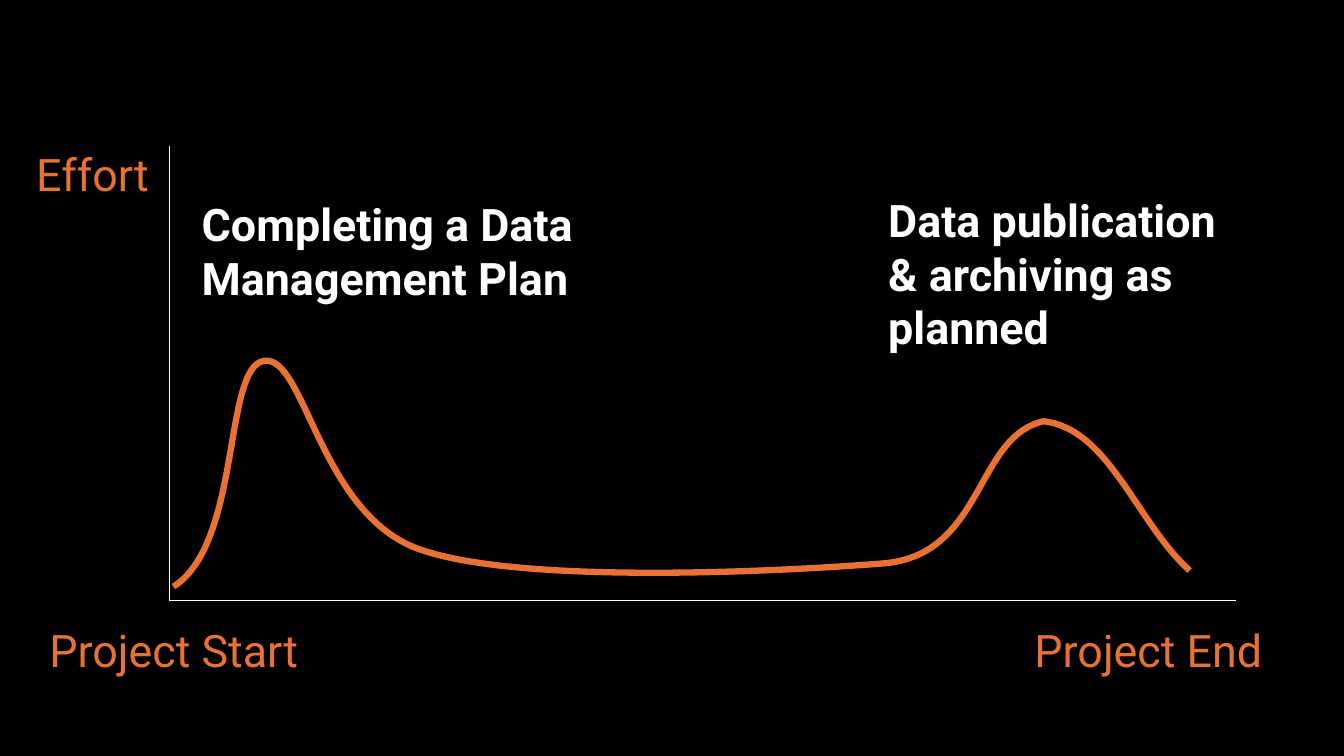
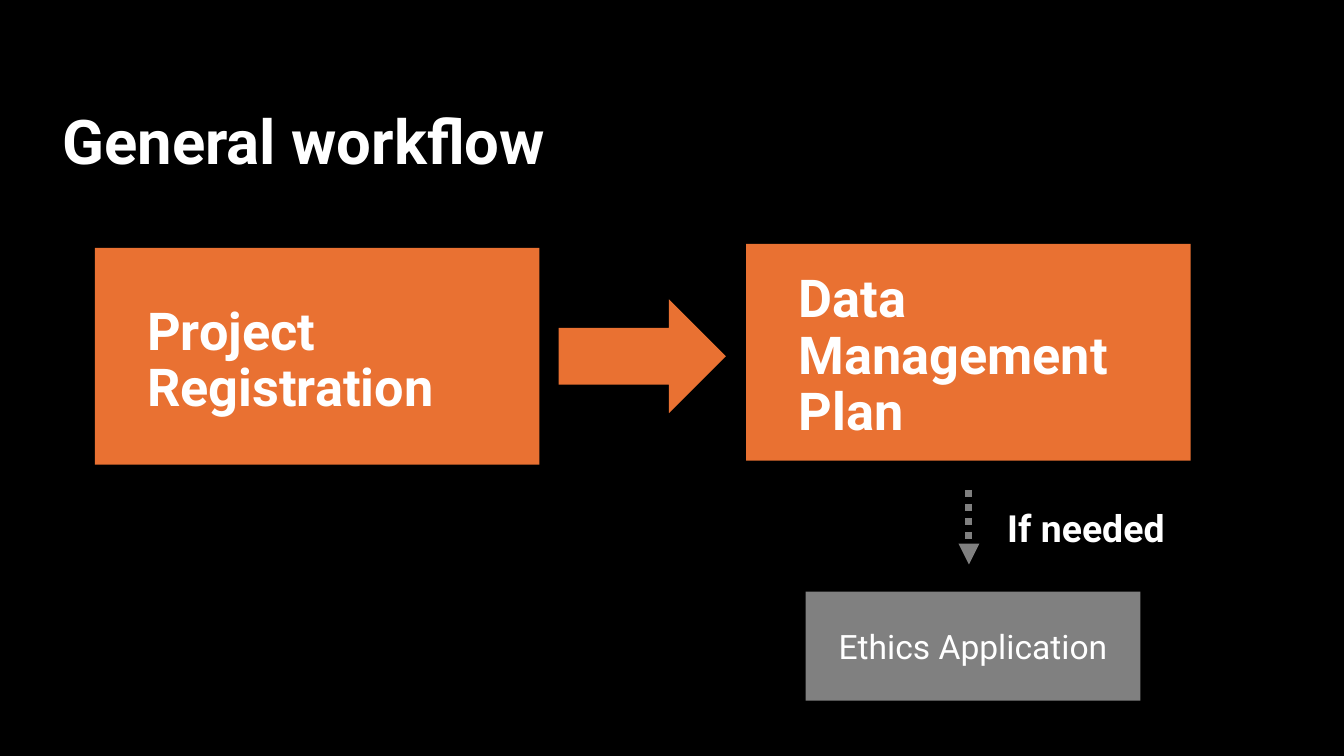
"""Builds two dark slides on data management: an effort curve and a workflow."""
import dataclasses

import lxml.etree
import pptx
import pptx.dml.color
import pptx.enum.dml
import pptx.enum.shapes
import pptx.enum.text
import pptx.oxml.ns
import pptx.util

EMU_PER_PX = 9144
SHAPES = pptx.enum.shapes.MSO_SHAPE
ANCHORS = pptx.enum.text.MSO_ANCHOR
ALIGNS = pptx.enum.text.PP_ALIGN


@dataclasses.dataclass(frozen=True)
class Theme:
    """Colours, type sizes and line widths of the deck."""
    font: str = "Roboto"
    back: str = "000000"
    text: str = "FFFFFF"
    accent: str = "E97132"
    muted: str = "808080"
    title_size: float = 44
    step_size: float = 37.3
    label_size: float = 32
    remark_size: float = 26.7
    small_size: float = 24
    axis_width: float = 1
    curve_width: float = 4.5
    arrow_width: float = 5


def px(*lengths):
    """Turns px lengths into EMU."""
    return [pptx.util.Emu(length * EMU_PER_PX) for length in lengths]


def rgb(colour):
    """Gives the colour object of a hex string."""
    return pptx.dml.color.RGBColor.from_string(colour)


def add_element(parent, tag, **attributes):
    """Appends a drawing element to its parent."""
    return lxml.etree.SubElement(parent, pptx.oxml.ns.qn(tag), **attributes)


def write(frame, text, *, font, size, colour, bold=False, spacing=None,
          align=ALIGNS.LEFT, anchor=ANCHORS.TOP, insets=(0, 0)):
    """Puts formatted text into a text frame."""
    frame.word_wrap = True
    frame.vertical_anchor = anchor
    frame.margin_left, frame.margin_top = px(*insets)
    frame.margin_right, frame.margin_bottom = px(*insets)
    para = frame.paragraphs[0]
    para.alignment = align
    if spacing:
        para.line_spacing = spacing
    span = para.add_run()
    span.text = text
    span.font.name = font
    span.font.size = pptx.util.Pt(size)
    span.font.bold = bold
    span.font.color.rgb = rgb(colour)


class Builder:
    """Holds the style and the current slide and draws its elements."""

    def __init__(self, theme, width, height):
        self.theme = theme
        self.deck = pptx.Presentation()
        self.deck.slide_width, self.deck.slide_height = px(width, height)
        self.page = None

    def new_page(self):
        """Starts a blank slide with the dark background."""
        self.page = self.deck.slides.add_slide(self.deck.slide_layouts[6])
        fill = self.page.background.fill
        fill.solid()
        fill.fore_color.rgb = rgb(self.theme.back)

    def text(self, place, text, **style):
        """Adds a text box."""
        box = self.page.shapes.add_textbox(*px(*place))
        style = {"size": self.theme.label_size, "colour": self.theme.text, **style}
        write(box.text_frame, text, font=self.theme.font, **style)

    def heading(self, place, text, size, insets=(13, 7)):
        """Adds bold, tightly set text centred on its height."""
        self.text(place, text, size=size, bold=True, spacing=0.9,
                  anchor=ANCHORS.MIDDLE, insets=insets)

    def shape(self, kind, place, colour):
        """Adds a flat preset shape without outline."""
        shape = self.page.shapes.add_shape(kind, *px(*place))
        shape.shadow.inherit = False
        shape.fill.solid()
        shape.fill.fore_color.rgb = rgb(colour)
        shape.line.fill.background()
        return shape

    def step(self, left, top, text):
        """Adds a workflow step."""
        self.shape(SHAPES.RECTANGLE, (left, top, 441, 215), self.theme.accent)
        self.heading((left + 39, top + 40, 383, 145), text, self.theme.step_size)

    def side_step(self, place, text):
        """Adds an optional workflow step."""
        shape = self.shape(SHAPES.RECTANGLE, place, self.theme.muted)
        write(shape.text_frame, text, font=self.theme.font,
              size=self.theme.small_size, colour=self.theme.text,
              align=ALIGNS.CENTER, anchor=ANCHORS.MIDDLE, insets=(10, 5))

    def line(self, start, end, colour, width):
        """Adds a straight line."""
        line = self.page.shapes.add_connector(
            pptx.enum.shapes.MSO_CONNECTOR.STRAIGHT, *px(*start, *end))
        line.line.color.rgb = rgb(colour)
        line.line.width = pptx.util.Pt(width)
        add_element(line.element.spPr, "a:effectLst")
        return line

    def dotted_arrow(self, start, end):
        """Adds a dotted line with an arrowhead at its end."""
        arrow = self.line(start, end, self.theme.muted, self.theme.arrow_width)
        arrow.line.dash_style = pptx.enum.dml.MSO_LINE.ROUND_DOT
        outline = arrow.element.spPr.find(pptx.oxml.ns.qn("a:ln"))
        add_element(outline, "a:tailEnd", type="triangle")

    def curve(self, start, segments):
        """Adds an open curve made of cubic segments."""
        outline = self.page.shapes.build_freeform(*px(*start))
        outline.add_line_segments([px(*segment[-1]) for segment in segments], close=False)
        curve = outline.convert_to_shape()
        chords = list(curve.element.iter(pptx.oxml.ns.qn("a:lnTo")))
        for chord, segment in zip(chords, segments):
            bend = add_element(chord.getparent(), "a:cubicBezTo")
            for point in segment:
                x, y = px(*point)
                add_element(bend, "a:pt", x=str(x - curve.left), y=str(y - curve.top))
            chord.getparent().remove(chord)
        curve.shadow.inherit = False
        curve.fill.background()
        curve.line.color.rgb = rgb(self.theme.accent)
        curve.line.width = pptx.util.Pt(self.theme.curve_width)


def effort_page(builder):
    """Draws the effort over the life of a project."""
    theme = builder.theme
    builder.new_page()
    origin = (168, 596)
    for axis_end in ((1226, 596), (168, 145)):
        builder.line(origin, axis_end, theme.text, theme.axis_width)
    for place, label in (
        ((36, 146, 126, 50), "Effort"),
        ((49, 618, 277, 50), "Project Start"),
        ((1026, 618, 277, 50), "Project End"),
    ):
        builder.text(place, label, colour=theme.accent)
    builder.curve((172, 582), (
        ((240, 539), (221, 364), (262, 358)),
        ((303, 352), (317, 513), (419, 546)),
        ((521, 580), (775, 567), (876, 559)),
        ((976, 551), (967, 433), (1035, 418)),
        ((1100, 425), (1128, 520), (1180, 566)),
    ))
    for place, peak in (
        ((200, 195, 394, 142), "Completing a Data Management Plan"),
        ((881, 191, 357, 184), "Data publication & archiving as planned"),
    ):
        builder.text(place, peak, bold=True)


def workflow_page(builder):
    """Draws the steps of the workflow."""
    theme = builder.theme
    builder.new_page()
    builder.heading((52, 71, 669, 145), "General workflow", theme.title_size, (10, 5))
    builder.step(94, 246, "Project Registration")
    builder.shape(SHAPES.RIGHT_ARROW, (554, 297, 166, 113), theme.accent)
    builder.step(740, 242, "Data Management Plan")
    builder.side_step((799, 587, 332, 108), "Ethics Application")
    builder.dotted_arrow((961, 486), (961, 560))
    builder.heading((986, 497, 221, 59), "If needed", theme.remark_size)


def main():
    """Builds and saves the deck."""
    builder = Builder(Theme(), 1333, 750)
    effort_page(builder)
    workflow_page(builder)
    builder.deck.save("out.pptx")


if __name__ == "__main__":
    main()
